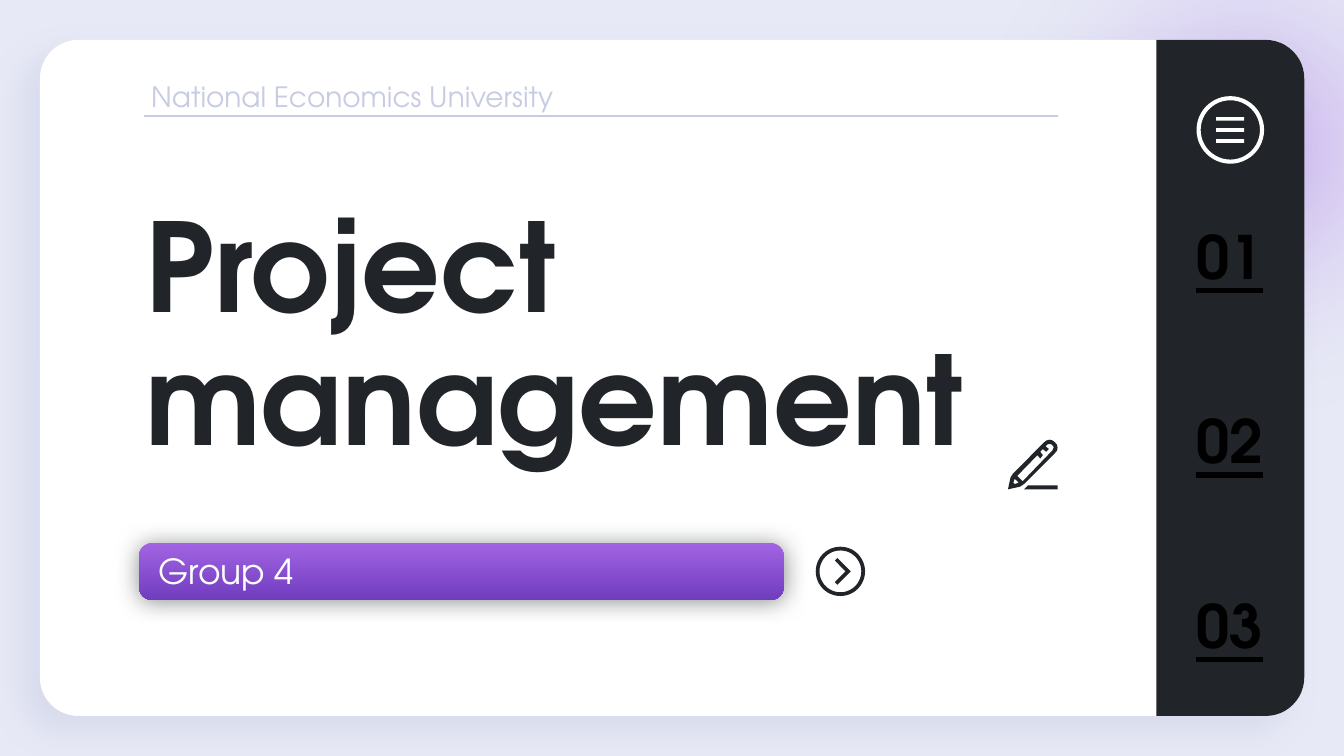
import pptx
import pptx.util
import pptx.dml.color
import pptx.enum.shapes
import pptx.enum.text
import pptx.oxml
import pptx.oxml.ns
from dataclasses import dataclass
from lxml import etree

Pt = pptx.util.Pt
RGB = pptx.dml.color.RGBColor.from_string
Kind = pptx.enum.shapes.MSO_SHAPE
Align = pptx.enum.text.PP_ALIGN
Anchor = pptx.enum.text.MSO_ANCHOR
qn = pptx.oxml.ns.qn


@dataclass(frozen=True)
class Theme:
    font: str = "TeX Gyre Adventor"
    back: str = "E7E9F6"
    white: str = "FFFFFF"
    dark: str = "212428"
    black: str = "000000"
    pale: str = "C7CCE2"
    light: str = "A264E3"
    deep: str = "703DBF"
    title: float = 66
    index: float = 32
    group: float = 18.5
    head: float = 15


def node(parent, tag, **attrs):
    return etree.SubElement(parent, qn(tag), {k: str(v) for k, v in attrs.items()})


def tint(parent, color, alpha):
    node(node(parent, "a:srgbClr", val=color), "a:alpha", val=int(alpha * 1000))


def write(frame, words, font, size, color, bold=False, under=False,
          align=Align.LEFT, space=1.0):
    para = frame.paragraphs[0]
    para.alignment = align
    para.line_spacing = space
    run = para.add_run()
    run.text = words
    run.font.name = font
    run.font.size = Pt(size)
    run.font.bold = bold
    run.font.underline = under
    run.font.color.rgb = RGB(color)


class Deck:
    def __init__(self, theme, slide):
        self.theme = theme
        self.slide = slide
        slide.background.fill.solid()
        slide.background.fill.fore_color.rgb = RGB(theme.back)

    def paint(self, shape, fill=None, line=None, width=0.75):
        shape.shadow.inherit = False
        if fill:
            shape.fill.solid()
            shape.fill.fore_color.rgb = RGB(fill)
        else:
            shape.fill.background()
        if line:
            shape.line.color.rgb = RGB(line)
            shape.line.width = Pt(width)
        else:
            shape.line.fill.background()
        return shape

    def shape(self, kind, x, y, w, h, adjust=(), turn=0, **look):
        item = self.slide.shapes.add_shape(kind, Pt(x), Pt(y), Pt(w), Pt(h))
        for i, value in enumerate(adjust):
            item.adjustments[i] = value
        item.rotation = turn
        return self.paint(item, **look)

    def blend(self, shape, stops, radial=False):
        """Stops are (position %, color, opacity %)."""
        shape.fill.gradient()
        grad = shape.element.spPr.find(qn("a:gradFill"))
        for child in list(grad):
            grad.remove(child)
        group = node(grad, "a:gsLst")
        for place, color, alpha in stops:
            tint(node(group, "a:gs", pos=place * 1000), color, alpha)
        if radial:
            node(node(grad, "a:path", path="circle"), "a:fillToRect",
                 l=50000, t=50000, r=50000, b=50000)
        else:
            node(grad, "a:lin", ang=90 * 60000, scaled=0)

    def shade(self, shape, color, alpha, blur, dist, angle):
        effect = shape.element.spPr.find(qn("a:effectLst"))
        tint(node(effect, "a:outerShdw", blurRad=int(Pt(blur)), dist=int(Pt(dist)),
                  dir=angle * 60000, algn="ctr", rotWithShape=0), color, alpha)

    def ring(self, x, y, size, color, width):
        """Circle centred on x, y; size is its outer diameter."""
        d = size - width
        self.shape(Kind.OVAL, x - d / 2, y - d / 2, d, d, line=color, width=width)

    def outline(self, x, y, loops, fill):
        """Loops hold points in tenths of a point from x, y."""
        pen = self.slide.shapes.build_freeform(*loops[0][0], scale=Pt(0.1))
        for i, loop in enumerate(loops):
            if i:
                pen.move_to(*loop[0])
            pen.add_line_segments(loop[1:], close=True)
        self.paint(pen.convert_to_shape(Pt(x), Pt(y)), fill=fill)

    def rule(self, x1, x2, y, color):
        line = self.slide.shapes.add_connector(
            pptx.enum.shapes.MSO_CONNECTOR.STRAIGHT, Pt(x1), Pt(y), Pt(x2), Pt(y))
        line.line.color.rgb = RGB(color)
        line.line.width = Pt(0.75)
        node(line.element.spPr, "a:effectLst")

    def text(self, words, x, y, w, h, inset=(7.2, 0, 7.2, 0), anchor=Anchor.TOP, **form):
        frame = self.slide.shapes.add_textbox(Pt(x), Pt(y), Pt(w), Pt(h)).text_frame
        frame.word_wrap = True
        frame.vertical_anchor = anchor
        (frame.margin_left, frame.margin_top,
         frame.margin_right, frame.margin_bottom) = map(Pt, inset)
        write(frame, words, self.theme.font, **form)


def main():
    show = pptx.Presentation()
    show.slide_width, show.slide_height = Pt(720), Pt(405)
    look = Theme()
    deck = Deck(look, show.slides.add_slide(show.slide_layouts[6]))

    # Corner glow, card and side bar
    glow = deck.shape(Kind.OVAL, 499, -87.8, 335.5, 335.5)
    deck.blend(glow, [(0, look.light, 49), (62, look.back, 0), (100, look.white, 0)],
               radial=True)
    card = deck.shape(Kind.ROUNDED_RECTANGLE, 21.4, 21.4, 677.3, 362.2,
                      adjust=[0.057], fill=look.white)
    deck.shade(card, look.pale, 47, 16.9, 12, 137)
    deck.shape(Kind.ROUND_2_SAME_RECTANGLE, 478, 162.9, 362.2, 79.2,
               adjust=[0.261, 0], turn=90, fill=look.dark)

    # Header
    deck.text("National Economics University", 80.9, 42.5, 361.4, 18,
              inset=(0, 0, 7.2, 0), size=look.head, color=look.pale)
    deck.rule(77, 566.8, 62.1, look.pale)

    # Title
    deck.text("Project management", 70.6, 110.2, 469.4, 163.4,
              inset=(7.2, 0, 7.2, 7.2), size=look.title, color=look.dark,
              bold=True, space=0.9)

    # Group button
    button = deck.shape(Kind.ROUNDED_RECTANGLE, 74.4, 290.8, 345.6, 30.7, adjust=[0.238])
    deck.blend(button, [(0, look.light, 100), (100, look.deep, 100)])
    deck.shade(button, look.dark, 50, 12.4, 0.8, 90)
    deck.text("Group 4", 74.2, 294.5, 293.8, 22.3, inset=(10.8, 0, 7.2, 7.2),
              size=look.group, color=look.white)

    # Arrow icon
    deck.ring(450.2, 306.1, 26.4, look.dark, 2)
    deck.outline(447.2, 298.9, [[(14, 0), (86, 72), (14, 144), (0, 130), (58, 72), (0, 14)]],
                 look.dark)

    # Pencil icon: body, hollow, tip, stroke
    deck.outline(540, 235.6, [
        [(194, 14), (29, 180), (14, 202), (0, 266), (65, 252), (86, 238), (252, 72),
         (263, 59), (266, 43), (263, 27), (252, 14), (239, 4), (223, 0), (207, 4)],
        [(223, 22), (235, 26), (243, 34), (245, 43), (238, 58), (79, 223), (50, 194),
         (158, 83), (173, 101), (187, 83), (173, 65), (187, 50), (205, 65), (220, 50),
         (202, 36), (209, 27)],
        [(36, 209), (58, 230), (36, 238), (29, 230)],
        [(108, 245), (86, 266), (266, 266), (266, 245)],
    ], look.dark)

    # Menu icon
    deck.ring(659.1, 69.6, 36.2, look.white, 2.2)
    for i in range(3):
        deck.shape(Kind.RECTANGLE, 651.5, 62.7 + 5.9 * i, 15, 2, fill=look.white)

    # Section numbers
    for i in range(3):
        deck.text(f"{i + 1:02}", 630, 117.4 + 98.8 * i, 57.8, 38.9, anchor=Anchor.MIDDLE,
                  size=look.index, color=look.black, bold=True, under=True,
                  align=Align.CENTER)

    show.save("out.pptx")


if __name__ == "__main__":
    main()
